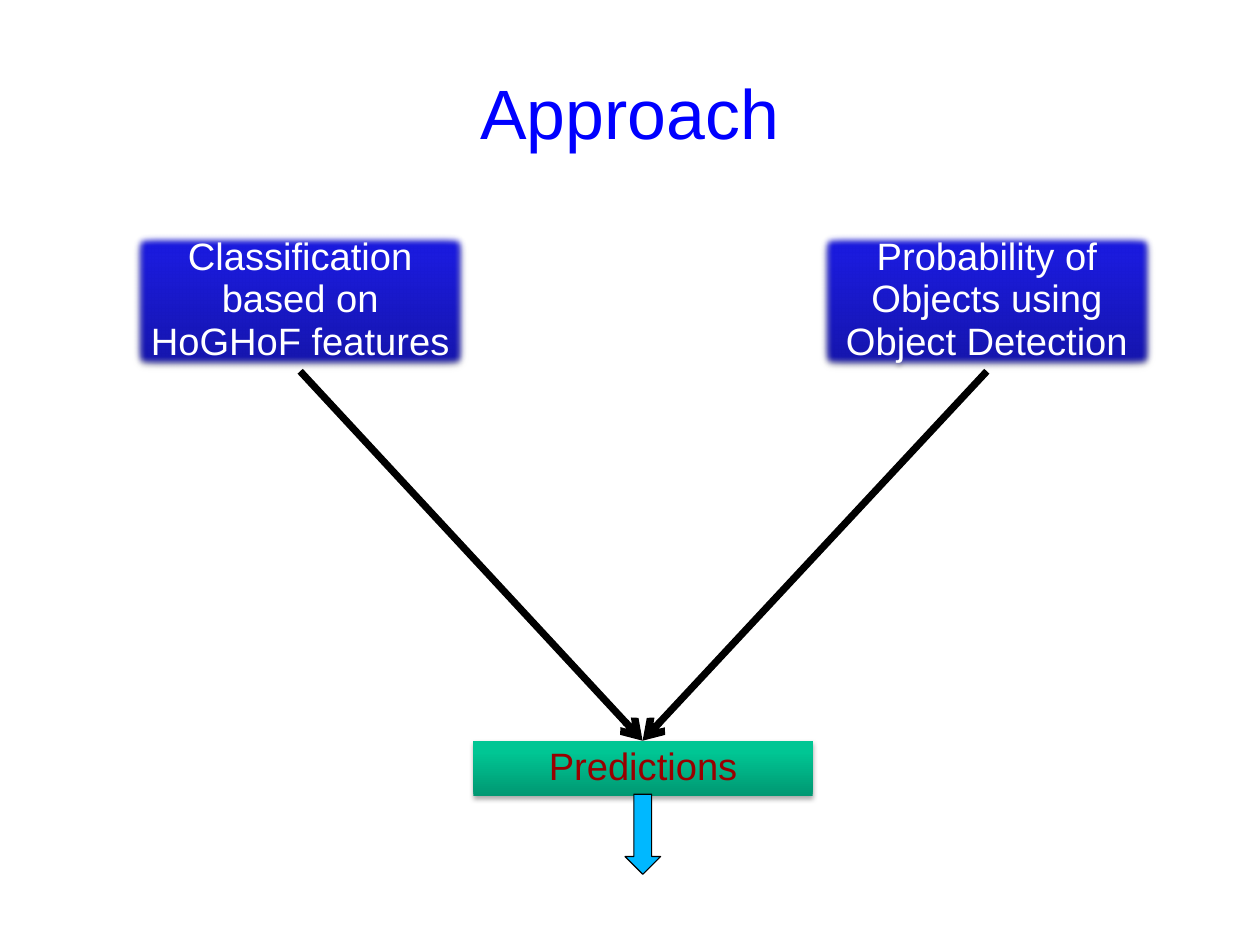
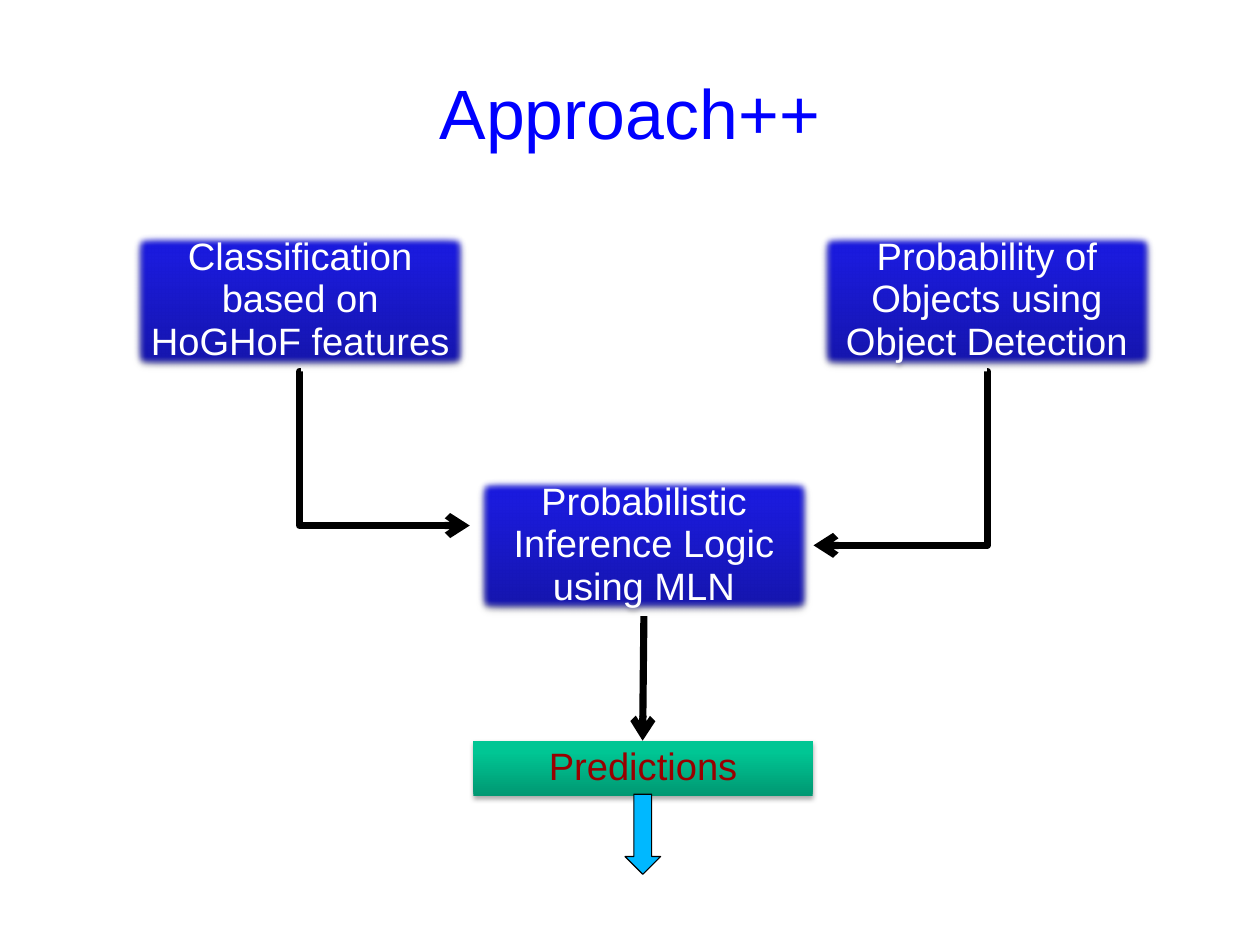
from copy import deepcopy

from lxml import etree
from pptx import Presentation
from pptx.dml.color import RGBColor
from pptx.enum import shapes, text
from pptx.oxml import ns
from pptx.util import Cm, Pt

BLUE = ("1515A9", "1B1BDC", "1818E1")
GREEN = ("009872", "00C694", "00C795")
STOPS = (0, 0.8, 1)
BOX_WIDTH, BOX_HEIGHT = 7.54, 3.12


def color(value):
    return RGBColor.from_string(value)


def add_node(parent, tag, **attributes):
    node = etree.SubElement(parent, ns.qn(tag))
    for name, value in attributes.items():
        node.set(name, str(value))
    return node


def bottom(shape):
    """Middle of the lower edge, in centimetres."""
    return (shape.left + shape.width / 2) / Cm(1), (shape.top + shape.height) / Cm(1)


class Deck:
    font = "Arial"
    spacing = 0.93

    def __init__(self):
        self.presentation = Presentation()
        self.presentation.slide_width = Cm(28)
        self.presentation.slide_height = Cm(21)
        self.slide = None

    def add_words(self, frame, words, size, ink):
        frame.word_wrap = True
        paragraph = frame.paragraphs[0]
        paragraph.alignment = text.PP_ALIGN.CENTER
        paragraph.line_spacing = self.spacing
        run = paragraph.add_run()
        run.text = words
        run.font.name = self.font
        run.font.size = Pt(size)
        run.font.color.rgb = color(ink)

    def start(self, title):
        """Open a slide with its title."""
        self.slide = self.presentation.slides.add_slide(self.presentation.slide_layouts[6])
        frame = self.slide.shapes.add_textbox(Cm(1.4), Cm(0.84), Cm(25.2), Cm(3.5)).text_frame
        frame.margin_left = frame.margin_right = frame.margin_top = frame.margin_bottom = 0
        frame.vertical_anchor = text.MSO_ANCHOR.MIDDLE
        self.add_words(frame, title, 44, "0000FF")

    def shape(self, kind, left, top, width, height):
        shape = self.slide.shapes.add_shape(kind, Cm(left), Cm(top), Cm(width), Cm(height))
        shape.shadow.inherit = False
        return shape

    def box(self, words, left, top, height=BOX_HEIGHT, shades=BLUE, ink="FFFFFF", soft=True):
        box = self.shape(shapes.MSO_SHAPE.RECTANGLE, left, top, BOX_WIDTH, height)
        box.line.fill.background()
        self.shade(box, shades)
        effects = box._element.spPr.find(ns.qn("a:effectLst"))
        shadow = add_node(effects, "a:outerShdw", blurRad=Pt(3.1), dist=Pt(1.8),
                          dir=5400000, rotWithShape=0)
        add_node(add_node(shadow, "a:srgbClr", val="000000"), "a:alpha", val=35000)
        if soft:
            add_node(effects, "a:softEdge", rad=Pt(5))
        box.text_frame.vertical_anchor = text.MSO_ANCHOR.TOP
        box.text_frame.auto_size = text.MSO_AUTO_SIZE.SHAPE_TO_FIT_TEXT
        self.add_words(box.text_frame, words, 24, ink)
        return box

    def shade(self, shape, shades):
        """Fill from bottom to top with three shades."""
        shape.fill.gradient()
        shape.fill.gradient_angle = 90
        stop_list = shape._element.spPr.find(".//" + ns.qn("a:gsLst"))
        stop_list.append(deepcopy(stop_list[0]))
        for stop, position, value in zip(shape.fill.gradient_stops, STOPS, shades):
            stop.position = position
            stop.color.rgb = color(value)

    def arrow(self, start, end, bent=False):
        kind = shapes.MSO_CONNECTOR.ELBOW if bent else shapes.MSO_CONNECTOR.STRAIGHT
        arrow = self.slide.shapes.add_connector(kind, *(Cm(n) for n in (*start, *end)))
        arrow.line.color.rgb = color("000000")
        arrow.line.width = Pt(4.5)
        properties = arrow._element.spPr
        add_node(properties.find(ns.qn("a:ln")), "a:tailEnd", type="arrow")
        add_node(properties, "a:effectLst")
        if bent:  # turn at the start: first down, then across
            guides = properties.find(".//" + ns.qn("a:avLst"))
            add_node(guides, "a:gd", name="adj1", fmla="val -300")

    def block_arrow(self, left, top, width, height):
        arrow = self.shape(shapes.MSO_SHAPE.DOWN_ARROW, left, top, width, height)
        arrow.fill.solid()
        arrow.fill.fore_color.rgb = color("00B8FF")
        arrow.line.color.rgb = color("000000")
        arrow.line.width = Pt(0.75)

    def approach(self, title):
        """Open a slide with both inputs and the result; return the arrow ends."""
        self.start(title)
        features = self.box("Classification based on HoGHoF features", 2.9, 5.13)
        objects = self.box("Probability of Objects using Object Detection", 18.16, 5.13)
        self.box("Predictions", 10.52, 16.46, 1.22, GREEN, "990000", soft=False)
        self.block_arrow(13.89, 17.65, 0.79, 1.78)
        return bottom(features), bottom(objects), (14.28, 16.46)


def main():
    deck = Deck()

    features, objects, predictions = deck.approach("Approach")
    for source in (features, objects):
        deck.arrow(source, predictions)

    features, objects, predictions = deck.approach("Approach++")
    inference = deck.box("Probabilistic Inference Logic using MLN", 10.54, 10.57)
    deck.arrow(features, (10.44, 11.68), bent=True)
    deck.arrow(objects, (18.08, 12.12), bent=True)
    deck.arrow(bottom(inference), predictions)

    deck.presentation.save("out.pptx")


if __name__ == "__main__":
    main()
